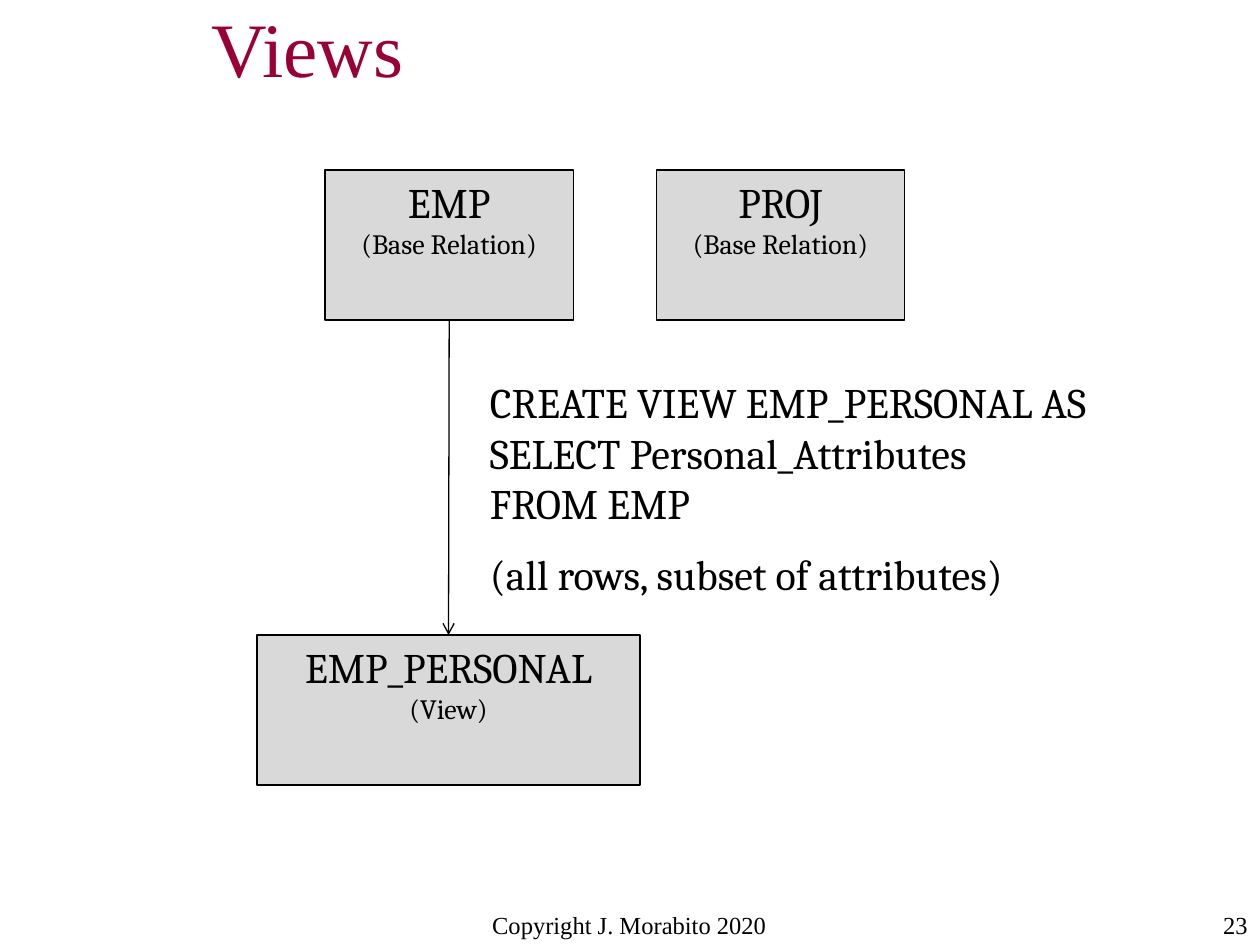
from dataclasses import dataclass

from lxml.etree import SubElement
from pptx import Presentation
from pptx.dml.color import RGBColor
from pptx.enum.shapes import MSO_CONNECTOR, MSO_SHAPE
from pptx.enum.text import MSO_ANCHOR, PP_ALIGN
from pptx.oxml.ns import qn
from pptx.shapes.autoshape import Shape
from pptx.slide import Slide
from pptx.util import Inches, Pt

COLORS = {"title": "990033", "ink": "000000", "box": "D9D9D9"}
SERIF = "Times New Roman"
BODY = "Cambria"
BOX_HEIGHT = 1.19


@dataclass
class Relation:
    name: str
    kind: str
    left: float
    top: float
    width: float


@dataclass
class Label:
    lines: list[str]
    left: float
    top: float
    width: float
    height: float
    size: int
    font: str = SERIF
    color: str = "ink"
    align: PP_ALIGN = PP_ALIGN.LEFT
    anchor: MSO_ANCHOR = MSO_ANCHOR.TOP
    wrap: bool = True


BASE_RELATIONS = [
    Relation(name, "(Base Relation)", left, 1.35, 1.97)
    for name, left in (("EMP", 2.58), ("PROJ", 5.21))
]
VIEW = Relation("EMP_PERSONAL", "(View)", 2.04, 5.04, 3.04)

TITLE = Label(["Views"], 1.58, 0.08, 8.42, 0.58, 44, color="title", anchor=MSO_ANCHOR.MIDDLE)
COPYRIGHT = Label(["Copyright J. Morabito 2020"], 3.41, 7.17, 3.17, 0.25, 14, align=PP_ALIGN.CENTER)
PAGE_NUMBER = Label(["23"], 8.58, 7.17, 1.42, 0.33, 14, align=PP_ALIGN.RIGHT)
QUERY = Label(
    [
        "CREATE VIEW EMP_PERSONAL AS",
        "SELECT Personal_Attributes",
        "FROM EMP",
        "(all rows, subset of attributes)",
    ],
    3.79, 2.94, 5.36, 1.87, 24, font=BODY, wrap=False,
)


def write_lines(
    shape: Shape, lines: list[str], sizes: list[int], font: str, color: str, align: PP_ALIGN
) -> None:
    """Fill a shape with one formatted paragraph per line."""
    shape.text_frame.text = "\n".join(lines)
    for paragraph, size in zip(shape.text_frame.paragraphs, sizes):
        paragraph.alignment = align
        for run in paragraph.runs:
            run.font.size = Pt(size)
            run.font.name = font
            run.font.color.rgb = RGBColor.from_string(COLORS[color])


def draw_label(slide: Slide, label: Label) -> Shape:
    """Add a text box for a label."""
    box = slide.shapes.add_textbox(
        Inches(label.left), Inches(label.top), Inches(label.width), Inches(label.height)
    )
    box.text_frame.word_wrap = label.wrap
    box.text_frame.vertical_anchor = label.anchor
    sizes = [label.size] * len(label.lines)
    write_lines(box, label.lines, sizes, label.font, label.color, label.align)
    return box


def draw_relation(slide: Slide, relation: Relation) -> Shape:
    """Add a grey box with the relation's name above its kind."""
    box = slide.shapes.add_shape(
        MSO_SHAPE.RECTANGLE,
        Inches(relation.left), Inches(relation.top), Inches(relation.width), Inches(BOX_HEIGHT),
    )
    box.shadow.inherit = False
    box.fill.solid()
    box.fill.fore_color.rgb = RGBColor.from_string(COLORS["box"])
    box.line.color.rgb = RGBColor.from_string(COLORS["ink"])
    box.line.width = Pt(0.75)
    box.text_frame.vertical_anchor = MSO_ANCHOR.TOP
    write_lines(box, [relation.name, relation.kind], [24, 16], BODY, "ink", PP_ALIGN.CENTER)
    return box


def draw_arrow(slide: Slide, source: Shape, target: Shape) -> None:
    """Connect the bottom of the source to the top of the target."""
    arrow = slide.shapes.add_connector(MSO_CONNECTOR.STRAIGHT, 0, 0, 0, 0)
    arrow.begin_connect(source, 2)
    arrow.end_connect(target, 0)
    arrow.line.color.rgb = RGBColor.from_string(COLORS["ink"])
    arrow.line.width = Pt(0.75)
    SubElement(arrow.line._get_or_add_ln(), qn("a:tailEnd"), type="arrow")
    SubElement(arrow._element.spPr, qn("a:effectLst"))


def main() -> None:
    """Build the slide on views and save it."""
    presentation = Presentation()
    presentation.slide_width = Inches(10)
    presentation.slide_height = Inches(7.5)
    slide = presentation.slides.add_slide(presentation.slide_layouts[6])

    for label in (TITLE, COPYRIGHT, PAGE_NUMBER):
        draw_label(slide, label)
    employees, _ = [draw_relation(slide, relation) for relation in BASE_RELATIONS]
    personal_view = draw_relation(slide, VIEW)
    draw_arrow(slide, employees, personal_view)
    query = draw_label(slide, QUERY)
    query.text_frame.paragraphs[-1].space_before = Pt(12)

    presentation.save("out.pptx")


if __name__ == "__main__":
    main()
